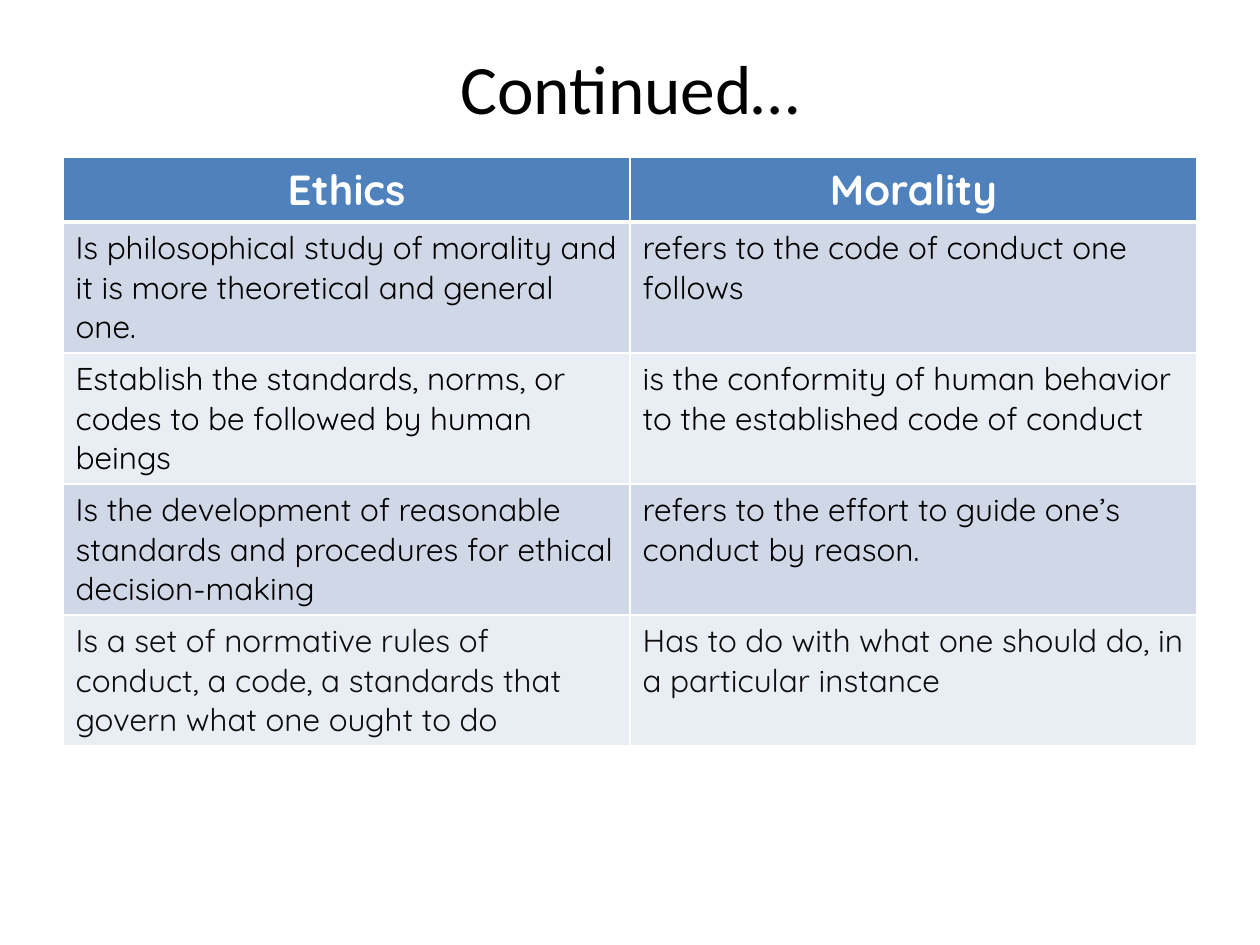
from dataclasses import dataclass

from lxml.etree import SubElement
from pptx import Presentation
from pptx.dml.color import RGBColor as Rgb
from pptx.enum.text import MSO_ANCHOR as Anchor, PP_ALIGN as Align
from pptx.oxml.ns import qn
from pptx.util import Emu, Pt

PX_PER_INCH = 126
COLORS = {
    "white": "FFFFFF",
    "black": "000000",
    "soft_black": "0D0D0D",
    "header": "4F81BD",
    "dark_band": "D0D8E8",
    "light_band": "E9EDF4",
}
HEADER_HEIGHT, BODY_HEIGHT = 65, 131
THIN, THICK = 1, 3


@dataclass
class Row:
    ethics: str
    morality: str
    color: str = "black"


HEADINGS = Row("Ethics", "Morality", "white")
COMPARISONS = [
    Row("Is philosophical study of morality and it is more theoretical and general one.",
        "refers to the code of conduct one follows"),
    Row("Establish the standards, norms, or codes to be followed by human beings",
        "is the conformity of human behavior to the established code of conduct"),
    Row("Is the development of reasonable standards and procedures for ethical decision-making",
        "refers to the effort to guide one’s conduct by reason."),
    Row("Is a set of normative rules of conduct, a code, a standards that govern what one ought to do",
        "Has to do with what one should do, in a particular instance", "soft_black"),
]


def px(length: int) -> Emu:
    return Emu(round(length * 914400 / PX_PER_INCH))


def rgb(name: str) -> Rgb:
    return Rgb.from_string(COLORS[name])


def write(frame, text: str, font: str, size: float, color: str,
          bold: bool = False, align=Align.LEFT) -> None:
    para = frame.paragraphs[0]
    para.text = text
    para.alignment = align
    para.font.name = font
    para.font.size = Pt(size)
    para.font.bold = bold
    para.font.color.rgb = rgb(color)


def add_borders(cell, top: int, bottom: int) -> None:
    """Draw the white cell borders; widths are in points."""
    properties = cell._tc.get_or_add_tcPr()
    for side, width in {"L": THIN, "R": THIN, "T": top, "B": bottom}.items():
        line = SubElement(properties, qn(f"a:ln{side}"), w=str(Pt(width)))
        fill = SubElement(line, qn("a:solidFill"))
        SubElement(fill, qn("a:srgbClr"), val=COLORS["white"])


def add_title(page, text: str) -> None:
    box = page.shapes.add_textbox(px(63), px(38), px(1134), px(98))
    box.text_frame.word_wrap = True
    box.text_frame.vertical_anchor = Anchor.MIDDLE
    write(box.text_frame, text, "Calibri", 39.6, "black", align=Align.CENTER)


def add_comparison(page, rows: list[Row]) -> None:
    height = HEADER_HEIGHT + BODY_HEIGHT * (len(rows) - 1)
    table = page.shapes.add_table(len(rows), 2, px(63), px(157), px(1134), px(height)).table
    for index, row in enumerate(rows):
        is_header = index == 0
        band = "header" if is_header else "dark_band" if index % 2 else "light_band"
        table.rows[index].height = px(HEADER_HEIGHT if is_header else BODY_HEIGHT)
        for cell, text in zip(table.rows[index].cells, (row.ethics, row.morality)):
            # Borders come before the fill in the cell properties
            add_borders(cell, THICK if index == 1 else THIN, THICK if is_header else THIN)
            cell.fill.solid()
            cell.fill.fore_color.rgb = rgb(band)
            write(cell.text_frame, text, "Quicksand", 24 if is_header else 18, row.color,
                  is_header, Align.CENTER if is_header else Align.LEFT)


def main() -> None:
    deck = Presentation()
    deck.slide_width, deck.slide_height = px(1260), px(945)
    page = deck.slides.add_slide(deck.slide_layouts[6])

    # Heading
    add_title(page, "Continued…")

    # Ethics against morality
    add_comparison(page, [HEADINGS, *COMPARISONS])

    deck.save("out.pptx")


if __name__ == "__main__":
    main()
